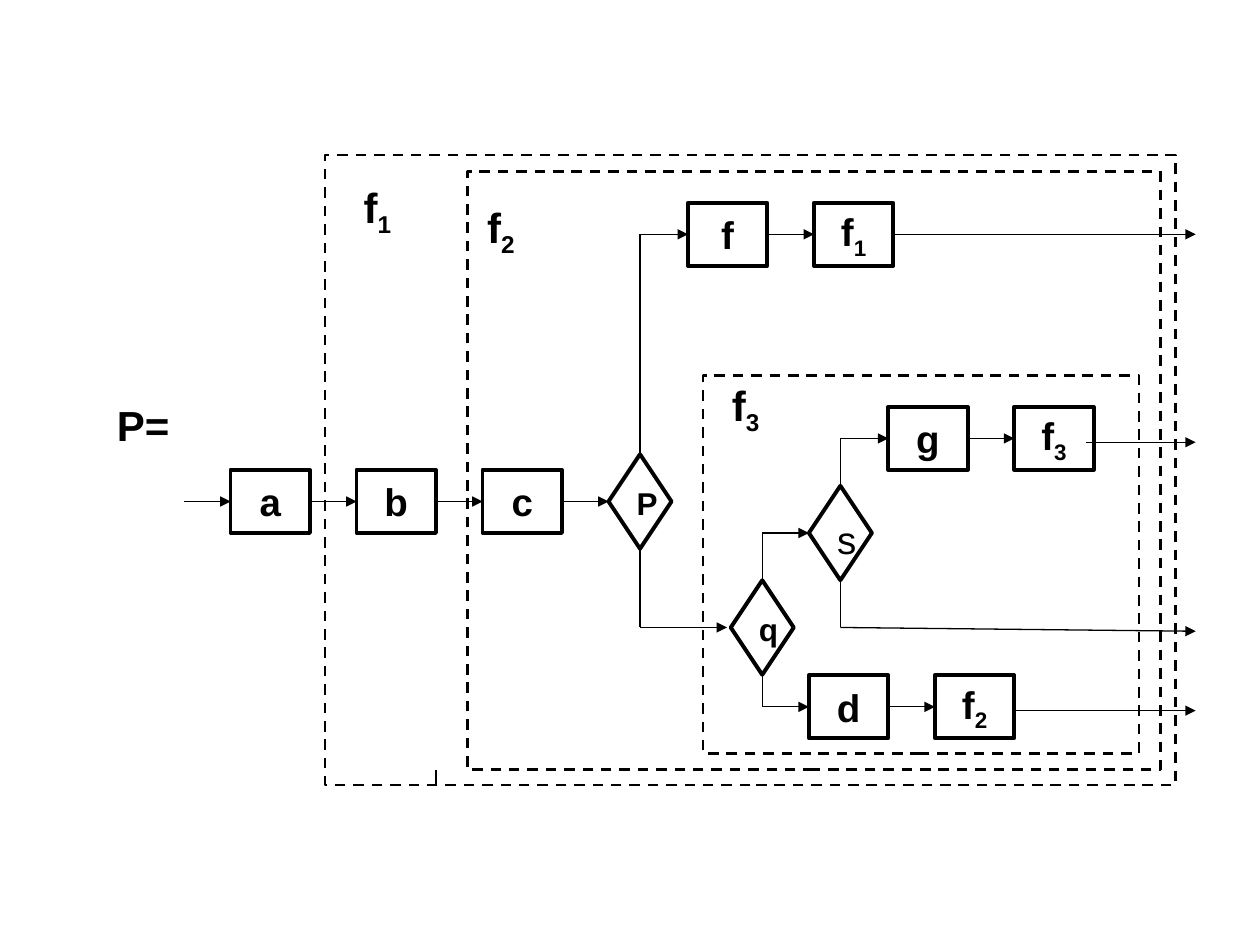
from itertools import pairwise

from lxml import etree
from pptx import Presentation
from pptx.dml.color import RGBColor
from pptx.enum.dml import MSO_LINE
from pptx.enum.shapes import MSO_CONNECTOR, MSO_SHAPE
from pptx.enum.text import MSO_ANCHOR, PP_ALIGN
from pptx.oxml.ns import qn
from pptx.util import Inches, Pt

DASH = MSO_LINE.DASH
STRAIGHT = MSO_CONNECTOR.STRAIGHT
RECTANGLE = MSO_SHAPE.RECTANGLE
DECISION = MSO_SHAPE.FLOWCHART_DECISION
TOP, MIDDLE = MSO_ANCHOR.TOP, MSO_ANCHOR.MIDDLE
LEFT, CENTER = PP_ALIGN.LEFT, PP_ALIGN.CENTER

COLORS = {"ink": "000000", "paper": "FFFFFF"}
FONT = "Arial"
BOX_WIDTH, BOX_HEIGHT, BOX_PITCH = 0.63, 0.5, 1.0
DIAMOND_WIDTH, DIAMOND_HEIGHT = 0.5, 0.75
EXIT_X = 9.49

FRAMES = [
    (2.58, 1.23, 6.75, 5),
    (3.71, 1.36, 5.5, 4.75),
    (5.58, 2.98, 3.46, 3),
]
BOX_ROWS = [
    (1.83, 3.98, ["a", "b", "c"]),
    (5.46, 1.86, ["f", "f_1"]),
    (7.05, 3.48, ["g", "f_3"]),
    (6.42, 5.61, ["d", "f_2"]),
]
DIAMONDS = [
    ("P", 5.08, 3.98, 18, True),
    ("q", 6.05, 4.98, 18, True),
    ("s", 6.67, 4.23, 22, False),
]
LABELS = [
    ("P=", 0.83, 3.12, 0.71, 0.5, LEFT),
    ("f_1", 2.72, 1.39, 0.55, 0.56, CENTER),
    ("f_2", 3.74, 1.55, 0.47, 0.56, CENTER),
    ("f_3", 5.71, 2.96, 0.47, 0.56, LEFT),
]
ARROWS = [
    [(1.46, 3.98), (1.83, 3.98)],
    [(4.46, 3.98), (4.83, 3.98)],
    [(5.08, 3.61), (5.08, 1.86), (5.46, 1.86)],
    [(5.08, 4.36), (5.08, 4.98), (5.77, 4.98)],
    [(6.05, 4.61), (6.05, 4.23), (6.42, 4.23)],
    [(6.05, 5.36), (6.05, 5.61), (6.42, 5.61)],
    [(6.67, 3.86), (6.67, 3.48), (7.05, 3.48)],
    [(6.67, 4.61), (6.67, 4.98), (EXIT_X, 5.01)],
    [(7.08, 1.86), (EXIT_X, 1.86)],
    [(8.62, 3.51), (EXIT_X, 3.51)],
    [(8.05, 5.64), (EXIT_X, 5.64)],
]
TICK = [(3.46, 6.11), (3.46, 6.23)]


def color(name):
    return RGBColor.from_string(COLORS[name])


def add_outline(slide, kind, left, top, width, height, weight):
    shape = slide.shapes.add_shape(
        kind, Inches(left), Inches(top), Inches(width), Inches(height)
    )
    shape.shadow.inherit = False
    shape.fill.solid()
    shape.fill.fore_color.rgb = color("paper")
    shape.line.color.rgb = color("ink")
    shape.line.width = Pt(weight)
    return shape


def write(shape, text, size, alignment, anchor, bold=True):
    frame = shape.text_frame
    frame.word_wrap = True
    frame.vertical_anchor = anchor
    paragraph = frame.paragraphs[0]
    paragraph.alignment = alignment
    base, _, subscript = text.partition("_")
    paragraph.add_run().text = base
    if subscript:
        run = paragraph.add_run()
        run.text = subscript
        run._r.get_or_add_rPr().set("baseline", "-25000")
    font = paragraph.font
    font.name, font.size, font.bold = FONT, Pt(size), bold
    font.color.rgb = color("ink")


def add_path(slide, points, arrow=True):
    for start, end in pairwise(points):
        connector = slide.shapes.add_connector(
            STRAIGHT, *(Inches(value) for value in start + end)
        )
        connector.line.color.rgb = color("ink")
        connector.line.width = Pt(0.75)
        properties = connector._element.spPr
        etree.SubElement(properties, qn("a:effectLst"))
        if arrow and end == points[-1]:
            line = properties.find(qn("a:ln"))
            etree.SubElement(line, qn("a:tailEnd"), type="triangle")


def main():
    presentation = Presentation()
    presentation.slide_width, presentation.slide_height = Inches(10), Inches(7.5)
    slide = presentation.slides.add_slide(presentation.slide_layouts[6])

    for bounds in FRAMES:
        add_outline(slide, RECTANGLE, *bounds, 1.5).line.dash_style = DASH

    for left, middle, names in BOX_ROWS:
        for index, name in enumerate(names):
            x = left + index * BOX_PITCH
            box = add_outline(
                slide, RECTANGLE, x, middle - BOX_HEIGHT / 2, BOX_WIDTH, BOX_HEIGHT, 2.25
            )
            write(box, name, 22, CENTER, MIDDLE)
            if index:
                add_path(slide, [(x - BOX_PITCH + BOX_WIDTH, middle), (x, middle)])

    for name, x, y, size, bold in DIAMONDS:
        diamond = add_outline(
            slide, DECISION, x - DIAMOND_WIDTH / 2, y - DIAMOND_HEIGHT / 2,
            DIAMOND_WIDTH, DIAMOND_HEIGHT, 2.25,
        )
        write(diamond, name, size, LEFT, TOP, bold)

    for points in ARROWS:
        add_path(slide, points)
    add_path(slide, TICK, arrow=False)

    for text, left, top, width, height, alignment in LABELS:
        label = slide.shapes.add_textbox(
            Inches(left), Inches(top), Inches(width), Inches(height)
        )
        write(label, text, 24, alignment, TOP)

    presentation.save("out.pptx")


if __name__ == "__main__":
    main()
